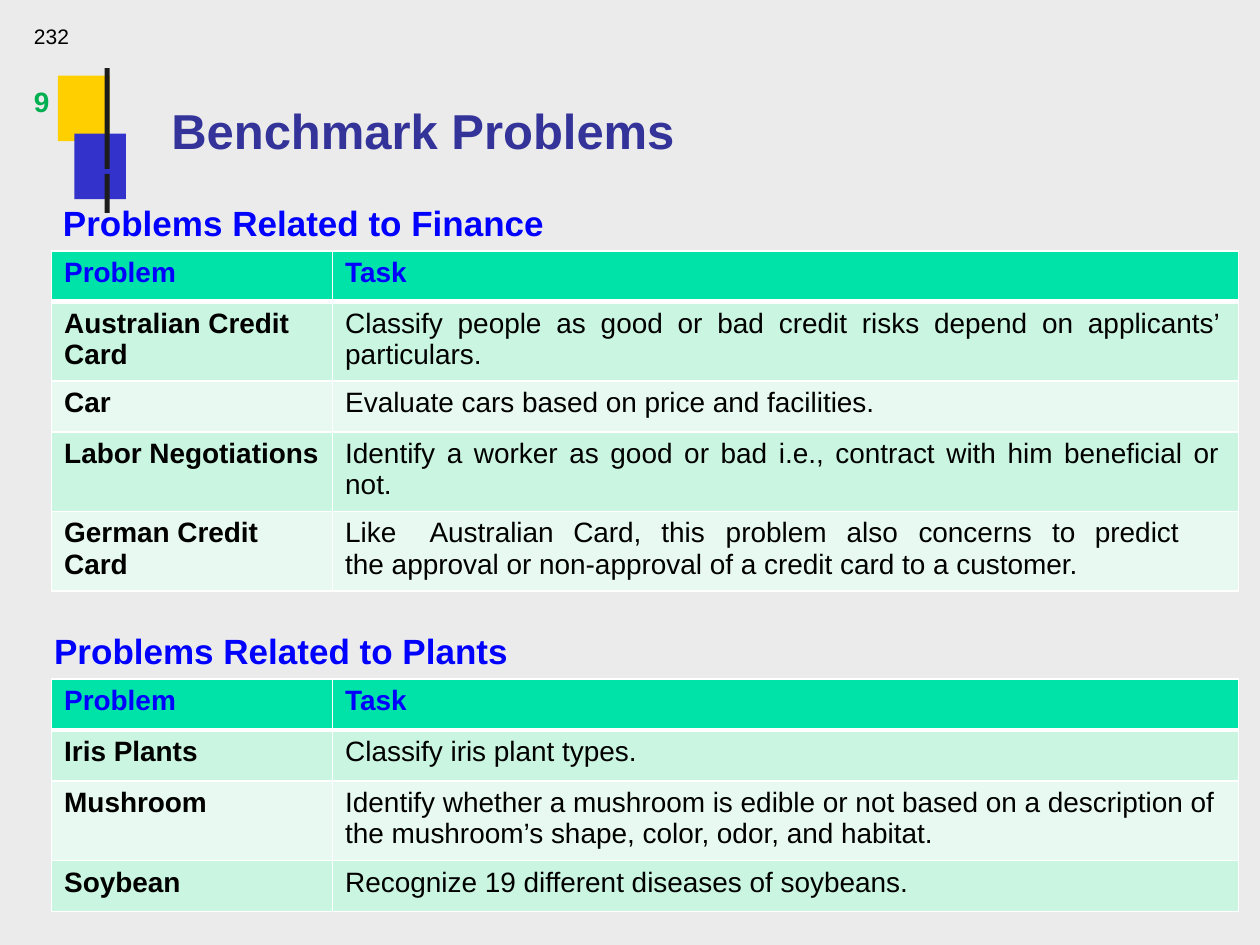
from lxml import etree
from pptx import Presentation
from pptx.dml.color import RGBColor
from pptx.enum.shapes import MSO_SHAPE
from pptx.enum.text import PP_ALIGN
from pptx.oxml.ns import qn
from pptx.util import Inches, Pt

RECTANGLE = MSO_SHAPE.RECTANGLE
LEFT, JUSTIFY = PP_ALIGN.LEFT, PP_ALIGN.JUSTIFY

# The slide is a grid of 100 columns by 75 rows
UNIT = Inches(0.1)
COLUMNS, ROWS = 100, 75

COLORS = {
    "background": "EBEBEB", "yellow": "FFCF00", "indigo": "3333CC",
    "bar": "1C1C1C", "title": "333399", "heading": "0000FF",
    "number": "00AF50", "text": "000000", "border": "FFFFFF",
    "header": "00E3A8", "odd": "CAF5E0", "even": "E7F9F0",
}


def write(para, text, size, color, bold, align=LEFT):
    para.alignment = align
    span = para.add_run()
    span.text = text
    span.font.color.rgb = RGBColor.from_string(COLORS[color])
    for name, value in {"name": "Arial", "size": Pt(size), "bold": bold}.items():
        setattr(span.font, name, value)


def add_border(cell, side, width):
    line = etree.SubElement(cell._tc.get_or_add_tcPr(), qn(f"a:{side}"), w=str(Pt(width)))
    fill = etree.SubElement(line, qn("a:solidFill"))
    etree.SubElement(fill, qn("a:srgbClr"), val=COLORS["border"])


deck = Presentation()
deck.slide_width, deck.slide_height = COLUMNS * UNIT, ROWS * UNIT
page = deck.slides.add_slide(deck.slide_layouts[6])
page.background.fill.solid()
page.background.fill.fore_color.rgb = RGBColor.from_string(COLORS["background"])

# Corner ornament: two squares and a broken bar
ornament = [
    ("yellow", 4.6, 6, 4.1, 5.2),
    ("indigo", 5.9, 10.6, 4.1, 5.2),
    ("bar", 8.3, 5.4, 0.4, 8),
    ("bar", 8.3, 13.8, 0.4, 3.1),
]
for color, *place in ornament:
    block = page.shapes.add_shape(RECTANGLE, *(int(n * UNIT) for n in place))
    block.shadow.inherit = False
    block.fill.solid()
    block.fill.fore_color.rgb = RGBColor.from_string(COLORS[color])
    block.line.fill.background()

# Title, table headings and page numbers
labels = [
    ("Benchmark Problems", 13.5, 7.9, 73.1, 4.7, 28, "title", True),
    ("Problems Related to Finance", 4.9, 15.9, 39, 3.6, 20, "heading", True),
    ("Problems Related to Plants", 4.2, 49.9, 37, 3.6, 20, "heading", True),
    ("9", 2.6, 6.6, 1.5, 2.9, 16, "number", True),
    ("232", 2.6, 1.8, 3.1, 2.3, 12, "text", False),
]
for text, left, top, width, height, size, color, bold in labels:
    box = page.shapes.add_textbox(*(int(n * UNIT) for n in (left, top, width, height)))
    frame = box.text_frame
    insets = {"margin_left": Inches(0.01), "margin_top": Inches(0.01),
              "margin_right": 0, "margin_bottom": 0, "word_wrap": True}
    for name, value in insets.items():
        setattr(frame, name, value)
    write(frame.paragraphs[0], text, size, color, bold)

# Tables: top, row heights, then problem, task and task alignment
SHORT, TALL = 4.05, 6.3
COLUMN_WIDTHS = (22.3, 71.9)
TAB_STOPS = (0.67, 1.81, 2.51, 3.02, 3.98, 4.55, 5.61, 5.95)
HEADER = ("Problem", "Task", LEFT)
tables = [
    (19.9, (SHORT, TALL, SHORT, TALL, TALL), [
        HEADER,
        ("Australian Credit Card",
         "Classify people as good or bad credit risks depend on applicants’ particulars.",
         JUSTIFY),
        ("Car", "Evaluate cars based on price and facilities.", LEFT),
        ("Labor Negotiations",
         "Identify a worker as good or bad i.e., contract with him beneficial or not.",
         JUSTIFY),
        ("German Credit Card",
         "Like\tAustralian\tCard,\tthis\tproblem\talso\tconcerns\tto\tpredict\t"
         "the approval or non-approval of a credit card to a customer.", LEFT),
    ]),
    (53.9, (SHORT, SHORT, TALL, SHORT), [
        HEADER,
        ("Iris Plants", "Classify iris plant types.", LEFT),
        ("Mushroom",
         "Identify whether a mushroom is edible or not based on a description of "
         "the mushroom’s shape, color, odor, and habitat.", LEFT),
        ("Soybean", "Recognize 19 different diseases of soybeans.", LEFT),
    ]),
]
for top, heights, records in tables:
    place = (4.1, top, sum(COLUMN_WIDTHS), sum(heights))
    table = page.shapes.add_table(len(records), 2, *(int(n * UNIT) for n in place)).table
    for column, width in zip(table.columns, COLUMN_WIDTHS):
        column.width = int(width * UNIT)
    for row, (height, (problem, task, align)) in enumerate(zip(heights, records)):
        table.rows[row].height = int(height * UNIT)
        band = "header" if row == 0 else "odd" if row % 2 else "even"
        for col, text in enumerate((problem, task)):
            cell = table.cell(row, col)
            insets = {"margin_left": Inches(0.1), "margin_top": Inches(0.05),
                      "margin_right": Inches(0.15 if col else 0.1), "margin_bottom": 0}
            for name, value in insets.items():
                setattr(cell, name, value)

            # Thick rule between the header and the body
            widths = {"lnL": 1, "lnR": 1, "lnT": 3 if row == 1 else 1,
                      "lnB": 3 if row == 0 else 1}
            for side, width in widths.items():
                add_border(cell, side, width)
            cell.fill.solid()
            cell.fill.fore_color.rgb = RGBColor.from_string(COLORS[band])

            para = cell.text_frame.paragraphs[0]
            if "\t" in text:
                stops = etree.SubElement(para._p.get_or_add_pPr(), qn("a:tabLst"))
                for stop in TAB_STOPS:
                    etree.SubElement(stops, qn("a:tab"), pos=str(Inches(stop)), algn="l")
            write(para, text, 16, "heading" if row == 0 else "text",
                  row == 0 or col == 0, align if col else LEFT)

deck.save("out.pptx")
